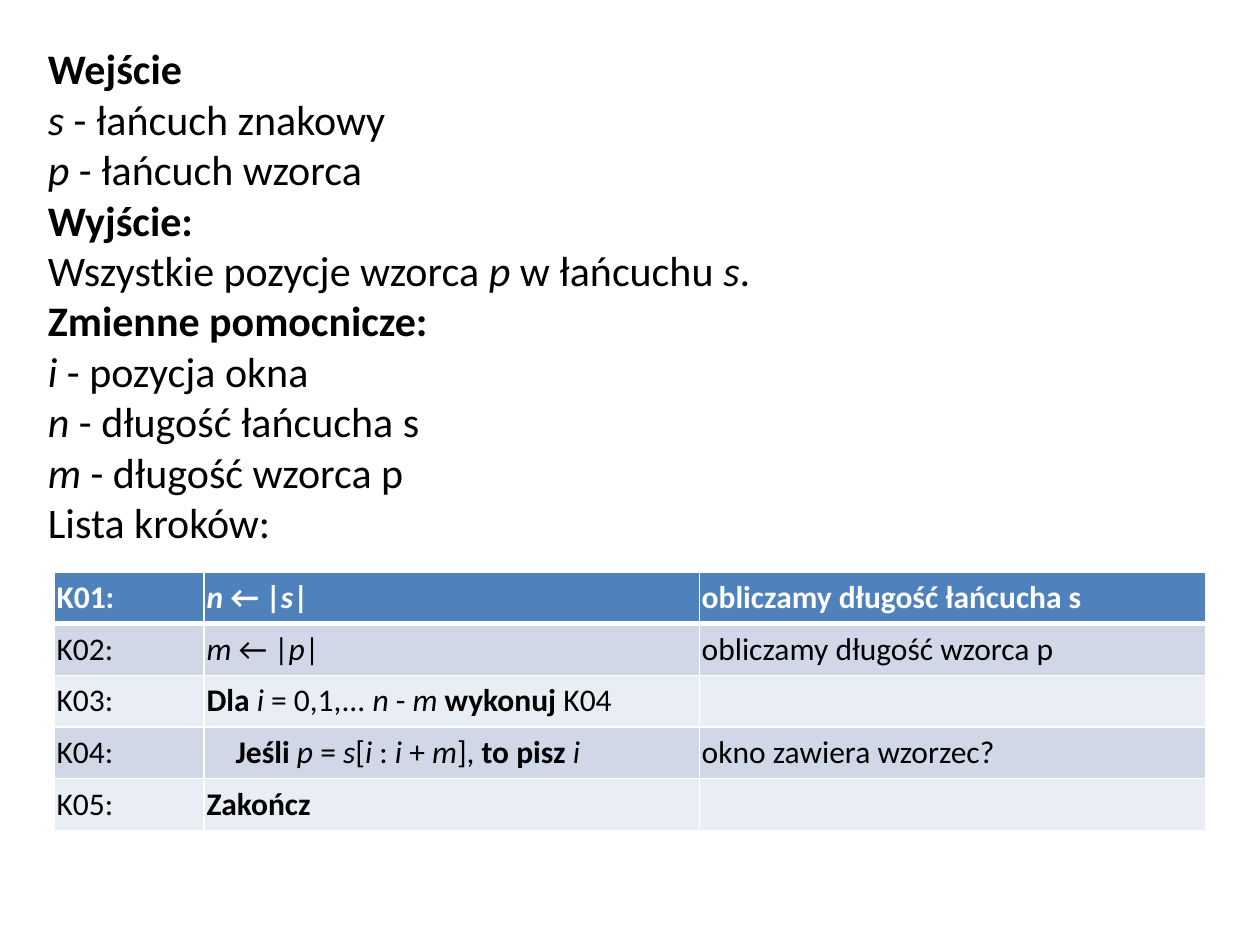
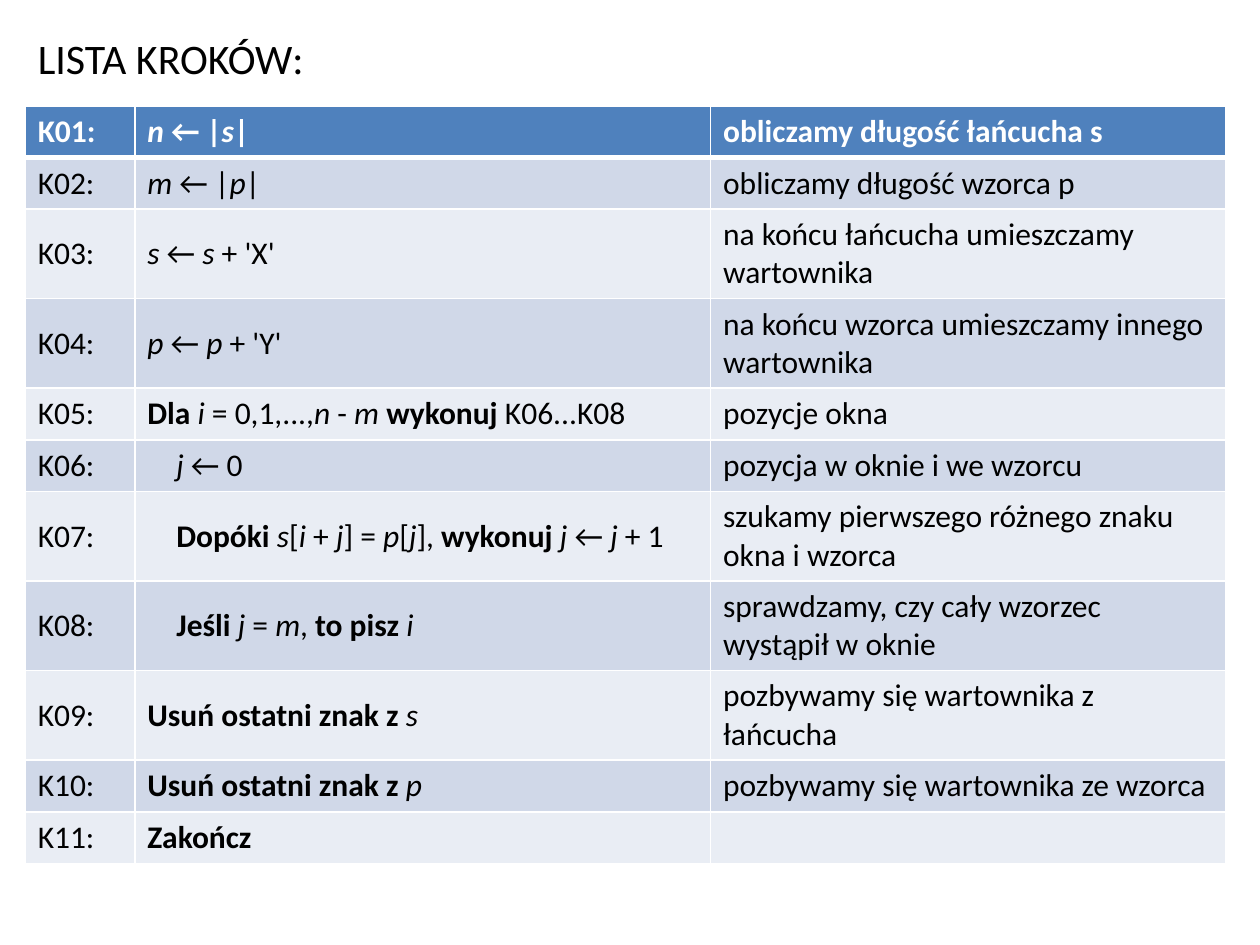
from lxml import etree
from pptx import Presentation
from pptx.dml.color import RGBColor
from pptx.enum.text import MSO_ANCHOR, MSO_AUTO_SIZE, PP_ALIGN
from pptx.oxml.ns import qn
from pptx.util import Inches, Pt

TOP, MIDDLE = MSO_ANCHOR.TOP, MSO_ANCHOR.MIDDLE
NO_AUTOSIZE = MSO_AUTO_SIZE.NONE
LEFT = PP_ALIGN.LEFT

FONT = "Calibri"
BLACK, WHITE = "000000", "FFFFFF"
HEADER_FILL = "4F81BD"
BAND_FILLS = ("E9EDF4", "D0D8E8")
TEXT_SIZE, TABLE_SIZE = 24, 18
ROW_HEIGHT, TALL_ROW_HEIGHT = 0.41, 0.7
COMMENT_LINE_LENGTH = 34
STEP_INDENT = 0.23

# Markup: *bold*, _italic_, a leading > indents a step.
DESCRIPTION = [
    "*Wejście*",
    "_s_ - łańcuch znakowy",
    "_p_ - łańcuch wzorca",
    "*Wyjście:*",
    "Wszystkie pozycje wzorca _p_ w łańcuchu _s_.",
    "*Zmienne pomocnicze:*",
    "_i_ - pozycja okna",
    "_n_ - długość łańcucha s",
    "_m_ - długość wzorca p",
    "Lista kroków:",
]
LENGTH_STEPS = [
    ("_n_ ← |_s_|", "obliczamy długość łańcucha s"),
    ("_m_ ← |_p_|", "obliczamy długość wzorca p"),
]
NAIVE_STEPS = LENGTH_STEPS + [
    ("*Dla *_i_ = 0,1,... _n_ - _m _*wykonuj* K04", ""),
    (">*Jeśli *_p _= _s_[_i_ : _i _+_ m_], *to pisz *_i_", "okno zawiera wzorzec?"),
    ("*Zakończ*", ""),
]
SENTINEL_TITLE = "LISTA KROKÓW:"
SENTINEL_STEPS = LENGTH_STEPS + [
    ("_s_ ← _s_ + 'X'", "na końcu łańcucha umieszczamy wartownika"),
    ("_p_ ← _p_ + 'Y'", "na końcu wzorca umieszczamy innego wartownika"),
    ("*Dla *_i_ = 0,1,...,_n_ - _m _*wykonuj* K06...K08", "pozycje okna"),
    (">_j_ ← 0", "pozycja w oknie i we wzorcu"),
    (">*Dopóki *_s_[_i_ + _j_] = _p_[_j_], *wykonuj *_j_ ← _j_ + 1",
     "szukamy pierwszego różnego znaku okna i wzorca"),
    (">*Jeśli *_j_ = _m_, *to pisz *_i_", "sprawdzamy, czy cały wzorzec wystąpił w oknie"),
    ("*Usuń ostatni znak z *_s_", "pozbywamy się wartownika z łańcucha"),
    ("*Usuń ostatni znak z *_p_", "pozbywamy się wartownika ze wzorca"),
    ("*Zakończ*", ""),
]


def color(value):
    return RGBColor.from_string(value)


def write_marked(paragraph, marked, size, text_color, all_bold=False):
    paragraph.font.size = Pt(size)
    for bold_index, bold_part in enumerate(marked.split("*")):
        for italic_index, text in enumerate(bold_part.split("_")):
            if not text:
                continue
            run = paragraph.add_run()
            run.text = text
            run.font.name = FONT
            run.font.size = Pt(size)
            run.font.color.rgb = color(text_color)
            run.font.bold = all_bold or bold_index % 2 == 1
            run.font.italic = italic_index % 2 == 1


def set_indent(paragraph, inches):
    properties = paragraph._p.get_or_add_pPr()
    properties.set("marL", str(Inches(inches)))
    properties.set("indent", "0")
    return properties


def fill_placeholder(placeholder, lines, left, top, width, height):
    placeholder.left, placeholder.top = Inches(left), Inches(top)
    placeholder.width, placeholder.height = Inches(width), Inches(height)
    frame = placeholder.text_frame
    frame.word_wrap = True
    frame.auto_size = NO_AUTOSIZE
    frame.vertical_anchor = TOP
    for index, line in enumerate(lines):
        paragraph = frame.add_paragraph() if index else frame.paragraphs[0]
        etree.SubElement(set_indent(paragraph, 0), qn("a:buNone"))
        paragraph.alignment = LEFT
        paragraph.space_before = Pt(0)
        write_marked(paragraph, line, TEXT_SIZE, BLACK)


def set_borders(cell, top_width, bottom_width):
    properties = cell._tc.get_or_add_tcPr()
    for side, width in (("L", 1), ("R", 1), ("T", top_width), ("B", bottom_width)):
        line = etree.SubElement(properties, qn(f"a:ln{side}"), w=str(Pt(width)))
        fill = etree.SubElement(line, qn("a:solidFill"))
        etree.SubElement(fill, qn("a:srgbClr"), val=WHITE)


def add_steps(slide, steps, left, top, widths, inset=None):
    heights = [TALL_ROW_HEIGHT if len(comment) > COMMENT_LINE_LENGTH else ROW_HEIGHT
               for _, comment in steps]
    table = slide.shapes.add_table(
        len(steps), len(widths), Inches(left), Inches(top),
        Inches(sum(widths)), Inches(sum(heights))).table
    for column, width in zip(table.columns, widths):
        column.width = Inches(width)
    for row_index, (step, comment) in enumerate(steps):
        table.rows[row_index].height = Inches(heights[row_index])
        is_header = row_index == 0
        texts = (f"K{row_index + 1:02}:", step, comment)
        for column_index, text in enumerate(texts):
            cell = table.cell(row_index, column_index)
            set_borders(cell, 3 if row_index == 1 else 1, 3 if is_header else 1)
            cell.fill.solid()
            cell.fill.fore_color.rgb = color(
                HEADER_FILL if is_header else BAND_FILLS[row_index % 2])
            cell.vertical_anchor = MIDDLE
            if inset is not None:
                cell.margin_left = cell.margin_right = Inches(inset)
                cell.margin_top = cell.margin_bottom = Inches(inset)
            paragraph = cell.text_frame.paragraphs[0]
            if text.startswith(">"):
                set_indent(paragraph, STEP_INDENT)
            write_marked(paragraph, text.removeprefix(">"), TABLE_SIZE,
                         WHITE if is_header else BLACK, is_header)


def build_naive_slide(presentation):
    slide = presentation.slides.add_slide(presentation.slide_layouts[1])
    title = slide.shapes.title._element
    title.getparent().remove(title)
    fill_placeholder(slide.placeholders[1], DESCRIPTION, 0.28, 0.29, 9.53, 4.44)
    add_steps(slide, NAIVE_STEPS, 0.43, 4.54, (1.19, 3.93, 4.02), inset=0.02)


def build_sentinel_slide(presentation):
    slide = presentation.slides.add_slide(presentation.slide_layouts[5])
    fill_placeholder(slide.shapes.title, [SENTINEL_TITLE], 0.2, 0.21, 4.41, 0.5)
    add_steps(slide, SENTINEL_STEPS, 0.2, 0.84, (0.87, 4.57, 4.09))


def main():
    presentation = Presentation()
    presentation.slide_width, presentation.slide_height = Inches(10), Inches(7.5)
    build_naive_slide(presentation)
    build_sentinel_slide(presentation)
    presentation.save("out.pptx")


if __name__ == "__main__":
    main()
